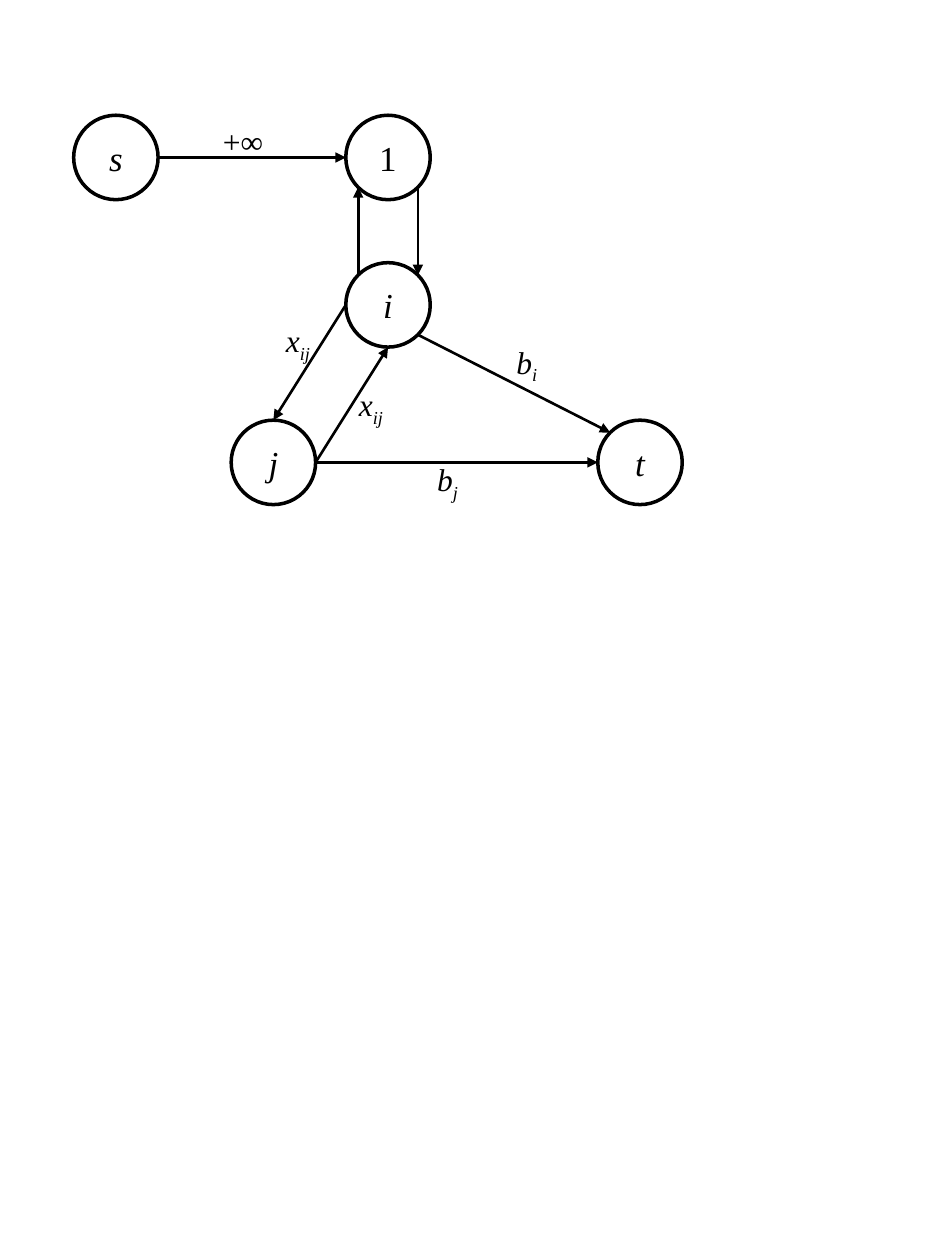
from dataclasses import dataclass
from math import cos, radians, sin

from lxml.etree import SubElement
from pptx import Presentation
from pptx.dml.color import RGBColor
from pptx.enum.shapes import MSO_CONNECTOR, MSO_SHAPE
from pptx.enum.text import MSO_ANCHOR, MSO_AUTO_SIZE, PP_ALIGN
from pptx.oxml.ns import qn
from pptx.slide import Slide
from pptx.text.text import _Paragraph
from pptx.util import Inches, Pt

BLACK = RGBColor(0x00, 0x00, 0x00)
FONT = "Times New Roman"
DIAMETER = 0.67
RADIUS = DIAMETER / 2


@dataclass
class Node:
    name: str
    x: float
    y: float
    italic: bool = True

    def rim(self, angle: float) -> tuple[float, float]:
        """Point on the circle, with the angle clockwise from the right."""
        turn = radians(angle)
        return self.x + RADIUS * cos(turn), self.y + RADIUS * sin(turn)


@dataclass
class Edge:
    start: Node
    start_angle: float
    end: Node
    end_angle: float


@dataclass
class Label:
    base: str
    subscript: str
    left: float
    top: float
    width: float
    wrap: bool = False


SOURCE = Node("s", 0.92, 1.25)
FIRST = Node("1", 3.08, 1.25, italic=False)
NODE_I = Node("i", 3.08, 2.42)
NODE_J = Node("j", 2.17, 3.67)
SINK = Node("t", 5.08, 3.67)
NODES = [SOURCE, FIRST, NODE_I, NODE_J, SINK]

EDGES = [
    Edge(SOURCE, 0, FIRST, 180),
    Edge(NODE_I, 225, FIRST, 135),
    Edge(FIRST, 45, NODE_I, 315),
    Edge(NODE_I, 180, NODE_J, 270),
    Edge(NODE_J, 0, NODE_I, 90),
    Edge(NODE_I, 45, SINK, 225),
    Edge(NODE_J, 0, SINK, 180),
]

LABELS = [
    Label("+∞", "", 1.67, 0.92, 0.52),
    Label("x", "ij", 2.17, 2.5, 0.41),
    Label("x", "ij", 2.75, 3.01, 0.41),
    Label("b", "i", 4, 2.67, 0.38),
    Label("b", "j", 3.37, 3.6, 0.38, wrap=True),
]


def add_run(paragraph: _Paragraph, text: str, size: float, italic: bool,
            subscript: bool = False) -> None:
    run = paragraph.add_run()
    run.text = text
    run.font.name = FONT
    run.font.size = Pt(size)
    run.font.italic = italic
    run.font.color.rgb = BLACK
    if subscript:
        run.font._element.set("baseline", "-25000")


def add_node(slide: Slide, node: Node) -> None:
    shape = slide.shapes.add_shape(
        MSO_SHAPE.OVAL, Inches(node.x - RADIUS), Inches(node.y - RADIUS),
        Inches(DIAMETER), Inches(DIAMETER))
    shape.shadow.inherit = False
    shape.fill.background()
    shape.line.color.rgb = BLACK
    shape.line.width = Pt(2)
    frame = shape.text_frame
    frame.word_wrap = False
    frame.vertical_anchor = MSO_ANCHOR.MIDDLE
    paragraph = frame.paragraphs[0]
    paragraph.alignment = PP_ALIGN.CENTER
    add_run(paragraph, node.name, 20, node.italic)


def add_edge(slide: Slide, edge: Edge) -> None:
    points = edge.start.rim(edge.start_angle) + edge.end.rim(edge.end_angle)
    connector = slide.shapes.add_connector(
        MSO_CONNECTOR.STRAIGHT, *(Inches(value) for value in points))
    connector.line.color.rgb = BLACK
    connector.line.width = Pt(1.5)
    SubElement(connector.line._get_or_add_ln(), qn("a:tailEnd"), type="triangle")
    SubElement(connector._element.spPr, qn("a:effectLst"))


def add_label(slide: Slide, label: Label) -> None:
    box = slide.shapes.add_textbox(
        Inches(label.left), Inches(label.top), Inches(label.width), Inches(0.4))
    frame = box.text_frame
    frame.word_wrap = label.wrap
    frame.auto_size = MSO_AUTO_SIZE.SHAPE_TO_FIT_TEXT
    paragraph = frame.paragraphs[0]
    add_run(paragraph, label.base, 18, italic=bool(label.subscript))
    if label.subscript:
        add_run(paragraph, label.subscript, 18, italic=True, subscript=True)


presentation = Presentation()
presentation.slide_width = Inches(7.5)
presentation.slide_height = Inches(10)
slide = presentation.slides.add_slide(presentation.slide_layouts[6])

# Network nodes
for node in NODES:
    add_node(slide, node)

# Directed edges
for edge in EDGES:
    add_edge(slide, edge)

# Edge capacities
for label in LABELS:
    add_label(slide, label)

presentation.save("out.pptx")
